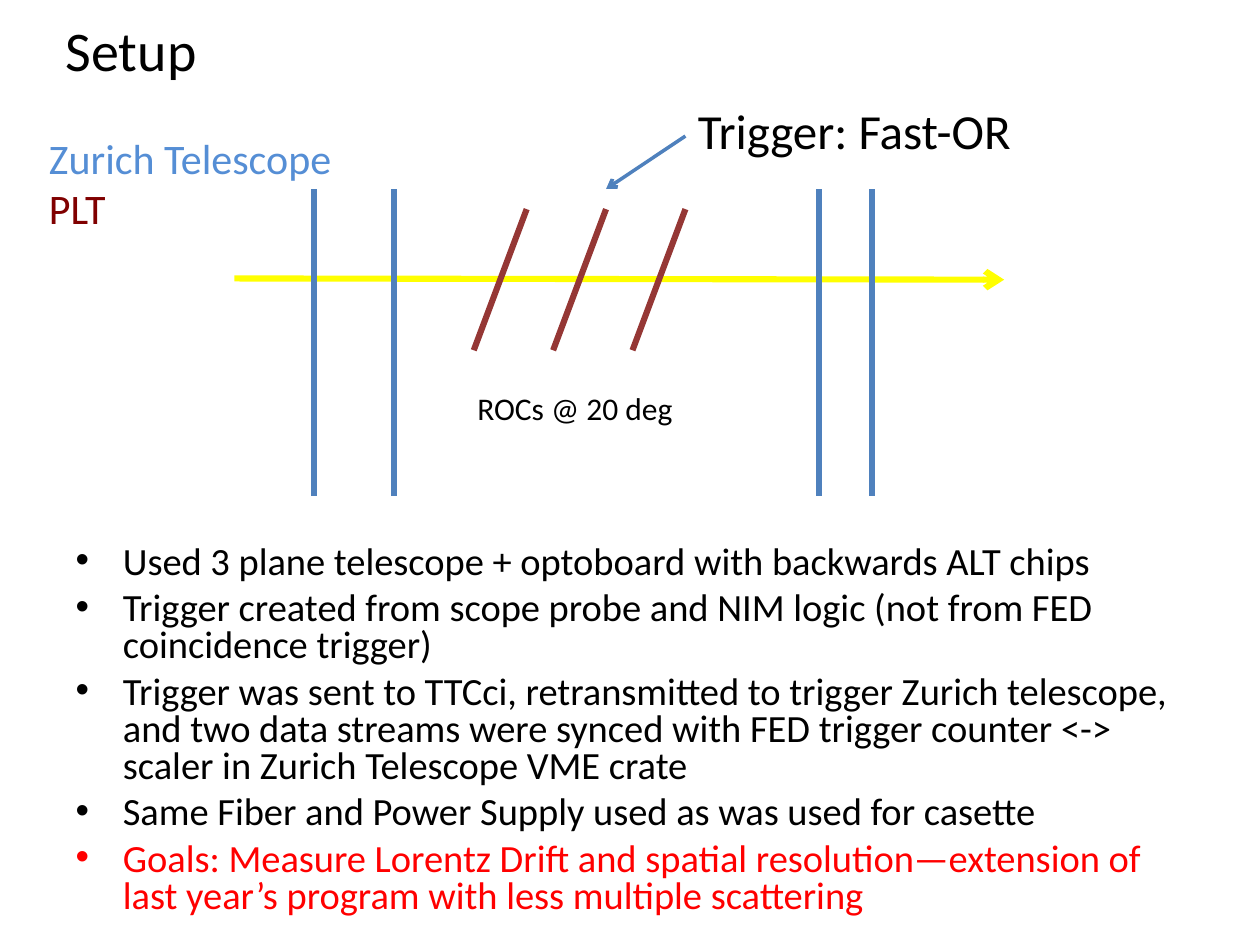
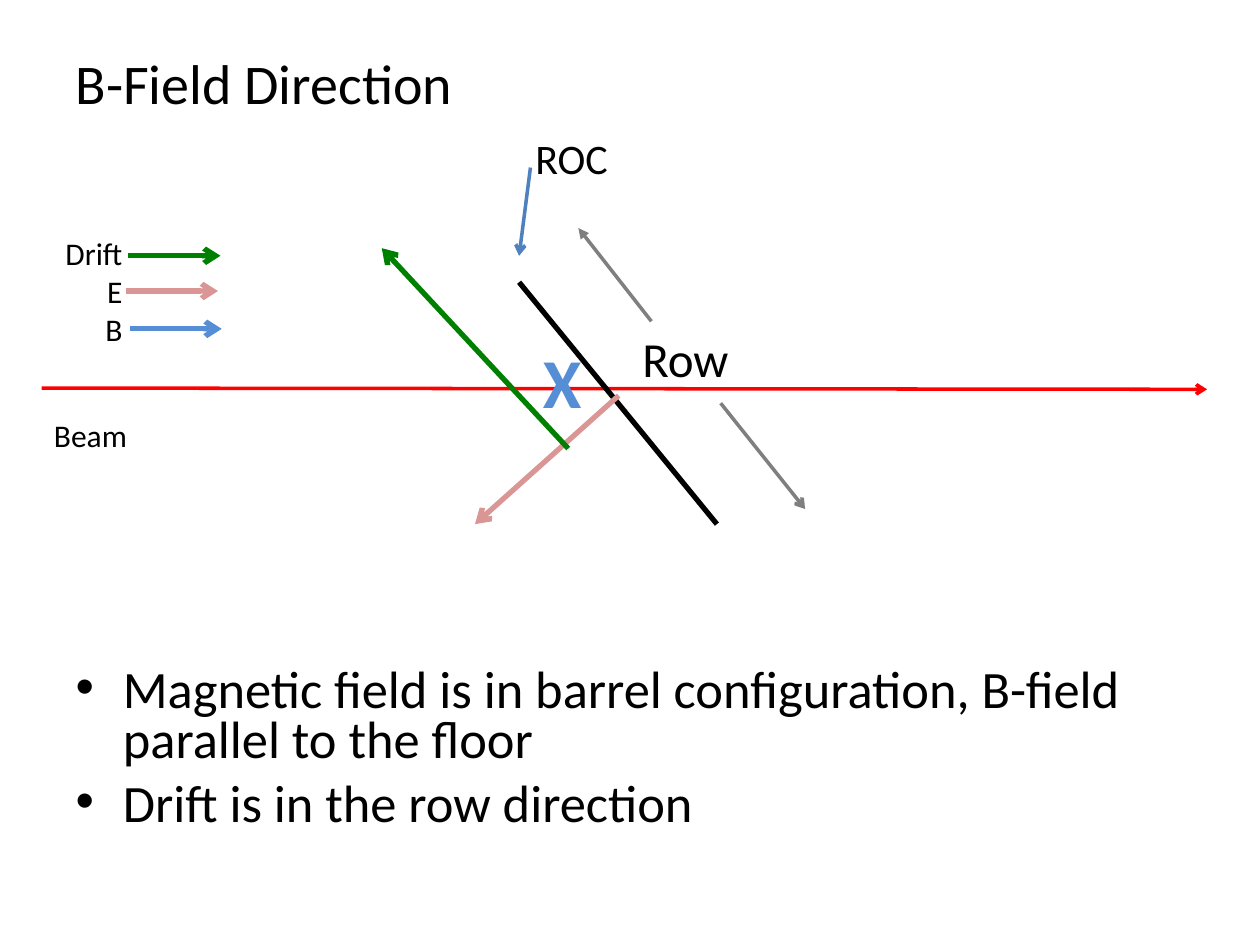
from lxml import etree
from pptx import Presentation
from pptx.dml.color import RGBColor
from pptx.enum.shapes import MSO_CONNECTOR as Connector
from pptx.enum.text import MSO_ANCHOR as Anchor, MSO_AUTO_SIZE as AutoSize, PP_ALIGN as Align
from pptx.oxml.ns import qn
from pptx.util import Inches, Pt

# Shared look
FONT = "Calibri"
BLACK = RGBColor(0x00, 0x00, 0x00)
RED = RGBColor(0xFF, 0x00, 0x00)
YELLOW = RGBColor(0xFF, 0xFF, 0x00)
GREEN = RGBColor(0x00, 0x80, 0x00)
MAROON = RGBColor(0x80, 0x00, 0x00)
BRICK = RGBColor(0x95, 0x37, 0x35)
PINK = RGBColor(0xD9, 0x96, 0x94)
BLUE = RGBColor(0x4F, 0x81, 0xBD)
SKY = RGBColor(0x55, 0x8E, 0xD5)
GRAY = RGBColor(0x7F, 0x7F, 0x7F)

deck = Presentation()
deck.slide_width, deck.slide_height = Inches(10), Inches(7.5)

# Grid of 100 columns by 75 rows; all positions below are (column, row)
COLUMN = deck.slide_width / 100
ROW = deck.slide_height / 75


def write_text(box, area, lines, size, align=Align.LEFT):
    """Place a box at (column, row, columns, rows) and fill it with (text, colour) lines."""
    left, top, width, height = area
    box.left, box.width = round(left * COLUMN), round(width * COLUMN)
    box.top, box.height = round(top * ROW), round(height * ROW)
    frame = box.text_frame
    frame.word_wrap = True
    frame.auto_size = AutoSize.NONE
    frame.text = "\n".join(text for text, _ in lines)
    for para, (_, color) in zip(frame.paragraphs, lines):
        para.alignment = align
        for span in para.runs:
            span.font.name, span.font.size = FONT, Pt(size)
            span.font.color.rgb = color
    return frame


def draw_line(page, start, end, color, width, head=None):
    line = page.shapes.add_connector(
        Connector.STRAIGHT,
        round(start[0] * COLUMN), round(start[1] * ROW),
        round(end[0] * COLUMN), round(end[1] * ROW))
    line.line.color.rgb = color
    line.line.width = Pt(width)
    if head:
        etree.SubElement(line.line._get_or_add_ln(), qn("a:tailEnd"), type=head)
    etree.SubElement(line._element.spPr, qn("a:effectLst"))


# Titles and bullet lists of both slides
setup_points = [
    ("Used 3 plane telescope + optoboard with backwards ALT chips", BLACK),
    ("Trigger created from scope probe and NIM logic (not from FED coincidence trigger)", BLACK),
    ("Trigger was sent to TTCci, retransmitted to trigger Zurich telescope, and two data "
     "streams were synced with FED trigger counter <-> scaler in Zurich Telescope VME crate", BLACK),
    ("Same Fiber and Power Supply used as was used for casette", BLACK),
    ("Goals: Measure Lorentz Drift and spatial resolution—extension of last year’s program "
     "with less multiple scattering", RED),
]
field_points = [
    ("Magnetic field is in barrel configuration, B-field parallel to the floor", BLACK),
    ("Drift is in the row direction", BLACK),
]
outline = [
    ("Setup", (4.2, 0, 90, 7.8), setup_points, (5, 42.8, 90, 32.2), 22, 5.5),
    ("B-Field Direction", (5, 3, 90, 7), field_points, (5, 52.5, 90, 14.5), 30, 7.5),
]
pages = []
for title, title_area, points, list_area, size, gap in outline:
    page = deck.slides.add_slide(deck.slide_layouts[1])
    heading, body = page.placeholders
    write_text(heading, title_area, [(title, BLACK)], 32).vertical_anchor = Anchor.MIDDLE
    for index, para in enumerate(write_text(body, list_area, points, size).paragraphs):
        para.line_spacing = 0.8
        para.space_before = Pt(gap if index else 0)
    pages.append(page)
setup, field = pages

# Setup: beam through telescope planes and tilted PLT planes
draw_line(setup, (18.6, 22.1), (79.7, 22.2), YELLOW, 3.5, "arrow")
for column in (24.9, 31.3, 65, 69.2):
    draw_line(setup, (column, 15), (column, 39.4), BLUE, 3.5)
for plane in range(3):
    column = 37.6 + 6.3 * plane
    draw_line(setup, (column, 27.8), (column + 4.2, 16.6), BRICK, 3.5)
draw_line(setup, (54.4, 10.8), (48.1, 15), BLUE, 2, "arrow")

# Field: beam, sensor plane and field vectors
draw_line(field, (3.3, 30.8), (95.8, 30.9), RED, 2, "arrow")
draw_line(field, (41.2, 22.4), (56.9, 41.6), BLACK, 3)
draw_line(field, (49.1, 31.4), (37.7, 41.6), PINK, 3, "arrow")
draw_line(field, (45.1, 35.6), (30.3, 19.7), GREEN, 3, "arrow")
draw_line(field, (51.7, 25.5), (45.9, 18.1), GRAY, 2, "triangle")
draw_line(field, (57.2, 32), (63.9, 40.4), GRAY, 2, "arrow")
draw_line(field, (42.1, 13.3), (41.2, 20.3), BLUE, 2, "arrow")

# Field: legend arrows
for column, row, color in ((10.2, 20.3, GREEN), (10, 23.1, PINK), (10.3, 26.1, SKY)):
    draw_line(field, (column, row), (column + 7.3, row), color, 3, "arrow")

# Labels of both diagrams
labels = [
    (setup, (54.4, 7.5, 29.7, 5.7), [("Trigger: Fast-OR", BLACK)], 28),
    (setup, (2.9, 10, 26.3, 9), [("Zurich Telescope", SKY), ("PLT", MAROON)], 24),
    (setup, (36.9, 30.4, 22.4, 4), [("ROCs @ 20 deg", BLACK)], 18),
    (field, (3.3, 32.5, 17.5, 4), [("Beam", BLACK)], 18),
    (field, (50, 25.6, 9.3, 5.7), [("Row", BLACK)], 28),
    (field, (41.5, 10, 18.7, 5), [("ROC", BLACK)], 24),
]
for page, area, lines, size in labels:
    write_text(page.shapes.add_textbox(0, 0, 0, 0), area, lines, size)

legend = [(name, BLACK) for name in ("Drift", "E", "B")]
write_text(field.shapes.add_textbox(0, 0, 0, 0), (2.2, 18.1, 8.5, 10), legend, 18, Align.RIGHT)

# Cross marking the field pointing into the page
cross = write_text(field.shapes.add_textbox(0, 0, 0, 0), (42.1, 26.4, 8.7, 7.7), [("X", SKY)], 40)
cross.paragraphs[0].runs[0].font.bold = True

deck.save("out.pptx")
